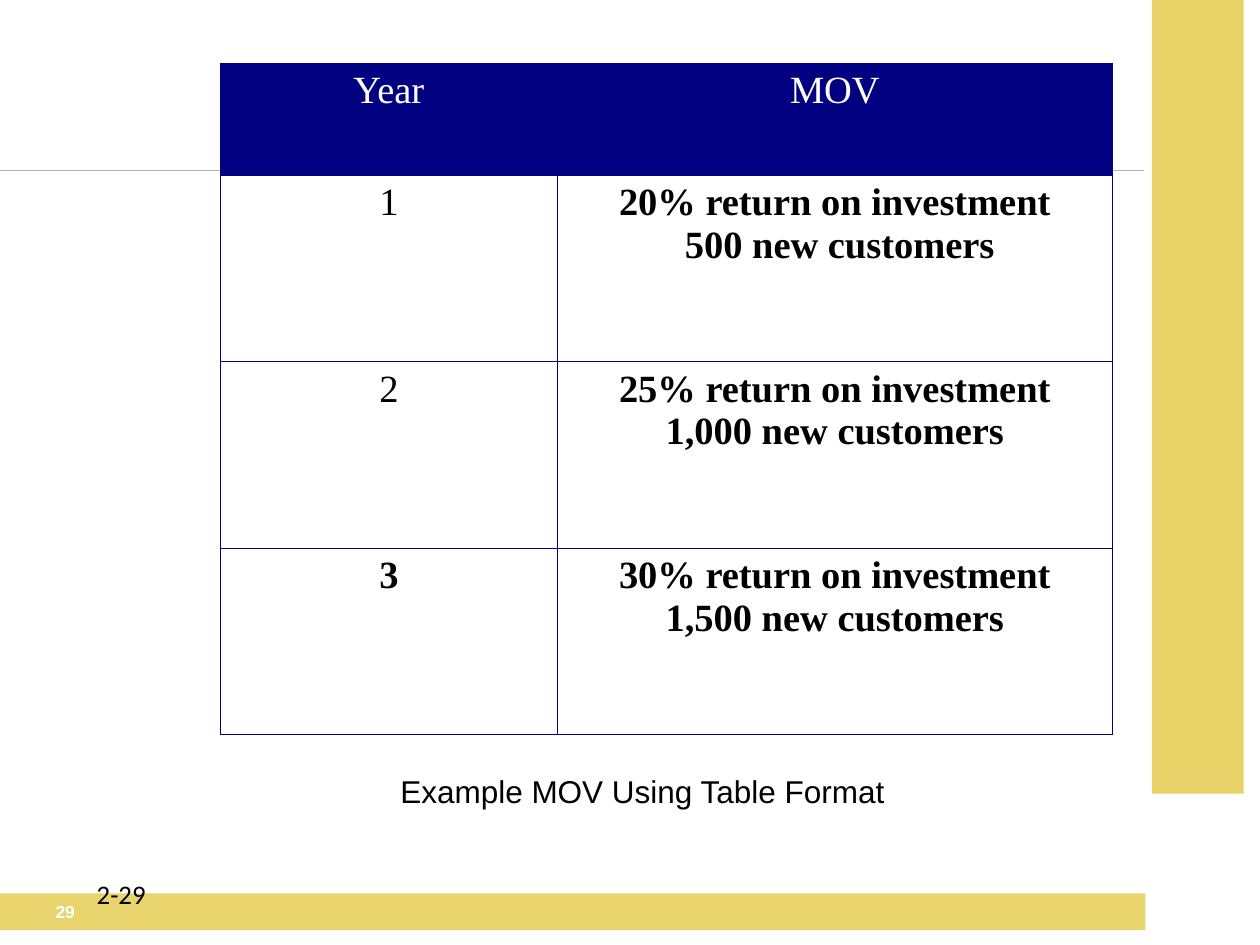
import pptx
import pptx.util
import pptx.dml.color
import pptx.enum.shapes
import pptx.enum.text
import pptx.oxml.ns
import lxml.etree
from dataclasses import dataclass

Cm = pptx.util.Cm
Pt = pptx.util.Pt
Align = pptx.enum.text.PP_ALIGN
Anchor = pptx.enum.text.MSO_ANCHOR
qn = pptx.oxml.ns.qn


@dataclass(frozen=True)
class Theme:
    gold: str = "E8D166"
    navy: str = "000080"
    rule: str = "B0ADC1"
    ink: str = "000000"
    paper: str = "FFFFFF"
    serif: str = "Times New Roman"
    sans: str = "Arial"
    page_font: str = "Calibri"
    table_size: float = 22
    caption_size: float = 18
    page_size: float = 15.3
    footer_size: float = 10
    rule_width: float = 0.75
    border_width: float = 0.45


def rgb(value):
    return pptx.dml.color.RGBColor.from_string(value)


def add_child(parent, tag, **attributes):
    return lxml.etree.SubElement(parent, qn(tag), attributes)


class SlideBuilder:
    def __init__(self, slide, theme):
        self.slide = slide
        self.theme = theme

    def add_span(self, para, text, font, size, color, bold=False):
        span = para.add_run()
        span.text = text
        span.font.name = font
        span.font.size = Pt(size)
        span.font.bold = bold
        span.font.color.rgb = rgb(color)

    def bar(self, left, top, width, height, opacity=100):
        bar = self.slide.shapes.add_shape(
            pptx.enum.shapes.MSO_SHAPE.RECTANGLE,
            Cm(left), Cm(top), Cm(width), Cm(height))
        bar.shadow.inherit = False
        bar.fill.solid()
        bar.fill.fore_color.rgb = rgb(self.theme.gold)
        bar.line.fill.background()
        if opacity < 100:
            color = bar._element.spPr.find(qn("a:solidFill"))[0]
            add_child(color, "a:alpha", val=str(opacity * 1000))
        return bar

    def footer(self, number, left, top, width, height, tab):
        bar = self.bar(left, top, width, height, opacity=95)
        bar.text_frame.vertical_anchor = Anchor.MIDDLE
        para = bar.text_frame.paragraphs[0]
        para.alignment = Align.LEFT
        tabs = add_child(para._p.get_or_add_pPr(), "a:tabLst")
        add_child(tabs, "a:tab", pos=str(Cm(tab)), algn="l")
        self.add_span(para, "\t" + number, self.theme.sans,
                      self.theme.footer_size, self.theme.paper, bold=True)

    def rule(self, left, top, right):
        rule = self.slide.shapes.add_connector(
            pptx.enum.shapes.MSO_CONNECTOR.STRAIGHT,
            Cm(left), Cm(top), Cm(right), Cm(top))
        rule.line.color.rgb = rgb(self.theme.rule)
        rule.line.width = Pt(self.theme.rule_width)
        add_child(rule._element.spPr, "a:effectLst")

    def label(self, text, left, top, width, height, font, size,
              wrap=True, spacing=None):
        box = self.slide.shapes.add_textbox(
            Cm(left), Cm(top), Cm(width), Cm(height))
        box.text_frame.word_wrap = wrap
        para = box.text_frame.paragraphs[0]
        para.line_spacing = spacing
        self.add_span(para, text, font, size, self.theme.ink)

    def cell(self, cell, lines, bold, header):
        properties = cell._tc.get_or_add_tcPr()
        for side in ("a:lnL", "a:lnR", "a:lnT", "a:lnB"):
            border = add_child(properties, side,
                               w=str(Pt(self.theme.border_width)))
            fill = add_child(border, "a:solidFill")
            add_child(fill, "a:srgbClr", val=self.theme.navy)
        if header:
            cell.fill.solid()
            cell.fill.fore_color.rgb = rgb(self.theme.navy)
        else:
            cell.fill.background()
        color = self.theme.paper if header else self.theme.ink
        frame = cell.text_frame
        for index, line in enumerate(lines):
            para = frame.add_paragraph() if index else frame.paragraphs[0]
            para.alignment = Align.CENTER
            self.add_span(para, line, self.theme.serif,
                          self.theme.table_size, color, bold)

    def table(self, rows, left, top, widths, heights):
        table = self.slide.shapes.add_table(
            len(rows), len(widths), Cm(left), Cm(top),
            Cm(sum(widths)), Cm(sum(heights))).table
        for column, width in zip(table.columns, widths):
            column.width = Cm(width)
        for row, height in zip(table.rows, heights):
            row.height = Cm(height)
        for row_index, row in enumerate(rows):
            for column_index, (lines, bold) in enumerate(row):
                self.cell(table.cell(row_index, column_index),
                          lines, bold, header=row_index == 0)


def main():
    deck = pptx.Presentation()
    deck.slide_width = Cm(25.4)
    deck.slide_height = Cm(19.05)
    theme = Theme()
    page = SlideBuilder(deck.slides.add_slide(deck.slide_layouts[6]), theme)

    page.bar(23.22, 0, 1.85, 16)
    page.footer("29", -0.1, 18.01, 23.19, 0.74, tab=0.97)
    page.rule(0, 3.43, 23.06)

    rows = [
        [(["Year"], False), (["MOV"], False)],
        [(["1"], False),
         (["20% return on investment", " 500 new customers"], True)],
        [(["2"], False),
         (["25% return on investment", "1,000 new customers"], True)],
        [(["3"], True),
         (["30% return on investment", "1,500 new customers"], True)],
    ]
    page.table(rows, 4.45, 1.27, [6.78, 11.2], [2.26] + [3.76] * 3)

    page.label("Example MOV Using Table Format", 7.82, 15.44, 10.34, 1.02,
               theme.sans, theme.caption_size, wrap=False)
    page.label("2-29", 1.7, 17.65, 5.51, 1.02,
               theme.page_font, theme.page_size, spacing=0.9)
    deck.save("out.pptx")


if __name__ == "__main__":
    main()
